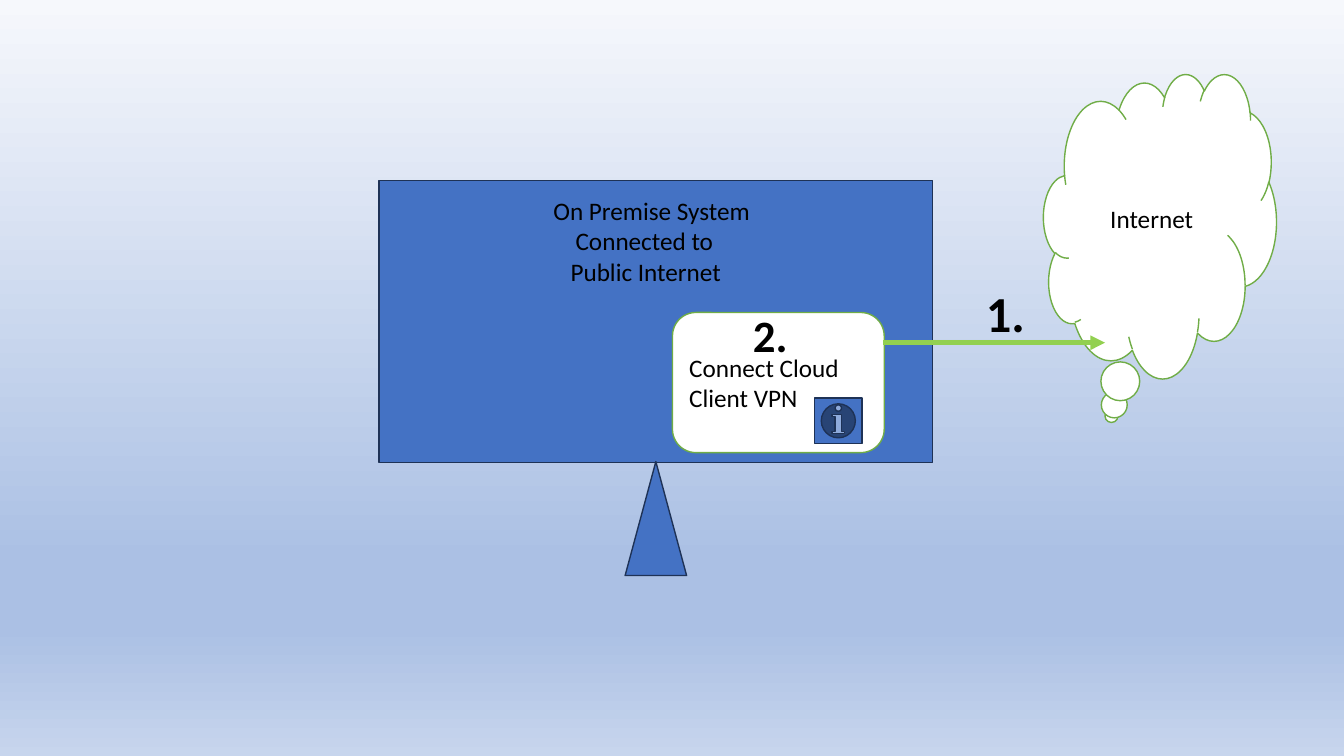
import pptx
import pptx.util
import pptx.dml.color
import pptx.enum.shapes
import pptx.enum.text
import pptx.oxml.ns
from lxml import etree

Inches = pptx.util.Inches
Pt = pptx.util.Pt
Kind = pptx.enum.shapes.MSO_SHAPE
Align = pptx.enum.text.PP_ALIGN
Anchor = pptx.enum.text.MSO_ANCHOR
qn = pptx.oxml.ns.qn

BLUE, NAVY = "4472C4", "1E3256"
WHITE, GREEN, LIME = "FFFFFF", "70AD47", "92D050"
BLACK = "000000"


def color(hexa):
    return pptx.dml.color.RGBColor.from_string(hexa)


class Board:
    """Holds the text style and the current slide."""

    def __init__(self, slide, font="Calibri", size=18):
        self.slide, self.font, self.size = slide, font, size

    def back(self, stops):
        """Fill the background with a top-down gradient of (percent, colour)."""
        fill = self.slide.background.fill
        fill.gradient()
        fill.gradient_angle = 270
        group = self.slide.element.find(".//" + qn("a:gsLst"))
        for stop in list(group):
            group.remove(stop)
        for pos, hexa in stops:
            stop = etree.SubElement(group, qn("a:gs"), pos=str(pos * 1000))
            etree.SubElement(stop, qn("a:srgbClr"), val=hexa)

    def label(self, frame, lines, size=None, bold=False, align=Align.LEFT):
        """Fill a frame with (text, left indent in inches) lines."""
        frame.word_wrap = True
        for i, (text, indent) in enumerate(lines):
            para = frame.add_paragraph() if i else frame.paragraphs[0]
            para.alignment = align
            if indent:
                props = para._p.get_or_add_pPr()
                props.set("marL", str(Inches(indent)))
                props.set("indent", "0")
            run = para.add_run()
            run.text = text
            run.font.name = self.font
            run.font.size = Pt(size or self.size)
            run.font.bold = bold
            run.font.color.rgb = color(BLACK)

    def shape(self, kind, box, fill, line, text=None, align=Align.LEFT):
        item = self.slide.shapes.add_shape(kind, *map(Inches, box))
        item.shadow.inherit = False
        item.fill.solid()
        item.fill.fore_color.rgb = color(fill)
        item.line.color.rgb = color(line)
        item.line.width = Pt(1)
        if text:
            item.text_frame.vertical_anchor = Anchor.MIDDLE
            self.label(item.text_frame, [(text, 0)], align=align)

    def text(self, box, lines, size=None, bold=False):
        item = self.slide.shapes.add_textbox(*map(Inches, box))
        self.label(item.text_frame, lines, size, bold)
        item.text_frame.auto_size = pptx.enum.text.MSO_AUTO_SIZE.SHAPE_TO_FIT_TEXT

    def arrow(self, ends, hexa, width):
        item = self.slide.shapes.add_connector(
            pptx.enum.shapes.MSO_CONNECTOR.STRAIGHT, *map(Inches, ends))
        item.line.color.rgb = color(hexa)
        item.line.width = Pt(width)
        props = item.element.spPr
        etree.SubElement(props.find(qn("a:ln")), qn("a:tailEnd"), type="triangle")
        etree.SubElement(props, qn("a:effectLst"))


def main():
    deck = pptx.Presentation()
    deck.slide_width, deck.slide_height = Inches(13.33), Inches(7.5)
    board = Board(deck.slides.add_slide(deck.slide_layouts[6]))
    board.back([(0, "F6F8FC"), (74, "ABC0E4"), (83, "ABC0E4"), (100, "C7D5ED")])

    board.shape(Kind.RECTANGLE, (3.76, 1.79, 5.49, 2.8), BLUE, NAVY)
    board.shape(Kind.ISOSCELES_TRIANGLE, (6.2, 4.58, 0.61, 1.13), BLUE, NAVY)
    board.shape(Kind.CLOUD_CALLOUT, (10.35, 0.73, 2.31, 3.02), WHITE, GREEN,
                "Internet", Align.CENTER)
    board.text((5.39, 1.89, 3.91, 1.01), [
        ("On Premise System", 0), ("Connected to", 0.22), ("Public Internet", 0.17)])
    board.shape(Kind.ROUNDED_RECTANGLE, (6.67, 3.1, 2.1, 1.39), WHITE, GREEN,
                "Connect Cloud Client VPN")
    board.arrow((8.76, 3.4, 10.96, 3.4), LIME, 3.5)
    board.shape(Kind.ACTION_BUTTON_INFORMATION, (8.08, 3.95, 0.47, 0.45), BLUE, NAVY)
    board.text((9.68, 2.75, 0.86, 0.71), [("1.", 0)], 36, True)
    board.text((7.37, 3, 0.97, 0.64), [("2.", 0)], 32, True)
    deck.save("out.pptx")


if __name__ == "__main__":
    main()
